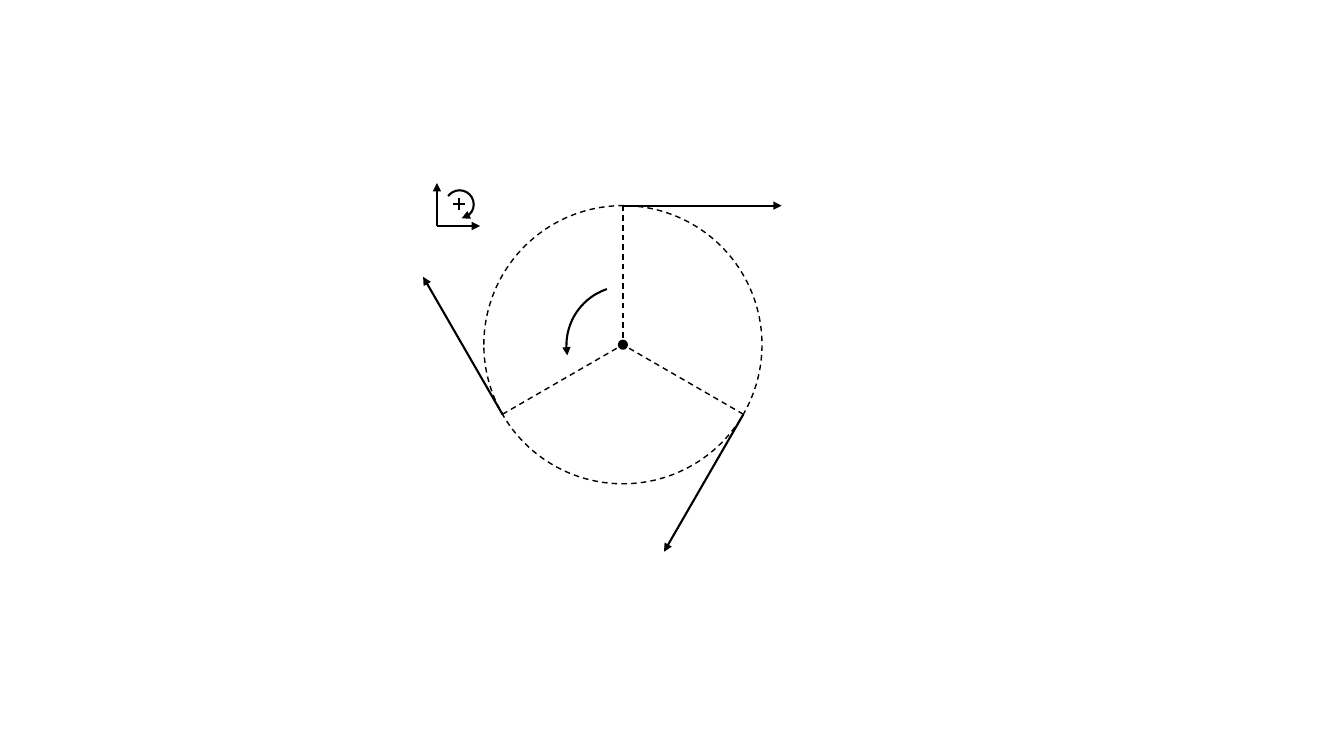
import dataclasses
import math
import typing

import lxml.etree
import pptx
import pptx.dml.line
import pptx.enum.dml
import pptx.enum.shapes
import pptx.oxml.ns
import pptx.util

WIDTH = pptx.util.Inches(13.333)
HEIGHT = pptx.util.Inches(7.5)
CELL = HEIGHT / 100
COLORS = {"ink": "000000"}
DASH = pptx.enum.dml.MSO_LINE.DASH
SOLID = {"width": pptx.util.Pt(1.5)}
DASHED = {"width": pptx.util.Pt(1), "dash_style": DASH}
KINDS = pptx.enum.shapes.MSO_SHAPE


@dataclasses.dataclass(frozen=True)
class Point:
    col: float
    row: float

    def move(self, cols: float, rows: float) -> "Point":
        return Point(self.col + cols, self.row + rows)


@dataclasses.dataclass(frozen=True)
class Stroke:
    start: Point
    end: Point
    style: dict
    arrow: str = ""


@dataclasses.dataclass(frozen=True)
class Round:
    center: Point
    radius: float
    style: dict
    angles: tuple = ()
    arrow: str = ""
    filled: bool = False


HUB = Point(82.4, 45.6)
RIM = 18.4
FORCE = 21
AXES = Point(57.8, 29.9)
REACH = 5.7
PLUS = Point(60.7, 26.95)
ARM = 0.8


def grid(cells: float) -> int:
    return round(cells * CELL)


def ink(line: pptx.dml.line.LineFormat, style: dict) -> None:
    line.fill.solid()
    line.fill.fore_color.rgb = pptx.dml.color.RGBColor.from_string(COLORS["ink"])
    for name, value in style.items():
        setattr(line, name, value)


def point(shape: typing.Any, end: str) -> None:
    if end:
        edge = shape.element.spPr.find(pptx.oxml.ns.qn("a:ln"))
        lxml.etree.SubElement(edge, pptx.oxml.ns.qn(f"a:{end}End"), type="triangle")


def draw_stroke(shapes: typing.Any, item: Stroke) -> None:
    ends = (item.start.col, item.start.row, item.end.col, item.end.row)
    line = shapes.add_connector(
        pptx.enum.shapes.MSO_CONNECTOR.STRAIGHT, *map(grid, ends))
    ink(line.line, item.style)
    point(line, item.arrow)
    lxml.etree.SubElement(line.element.spPr, pptx.oxml.ns.qn("a:effectLst"))


def draw_round(shapes: typing.Any, item: Round) -> None:
    corner = item.center.move(-item.radius, -item.radius)
    size = 2 * item.radius
    kind = KINDS.ARC if item.angles else KINDS.OVAL
    shape = shapes.add_shape(
        kind, *map(grid, (corner.col, corner.row, size, size)))
    for index, angle in enumerate(item.angles):
        shape.adjustments[index] = angle * 0.6
    if item.filled:
        shape.fill.solid()
        shape.fill.fore_color.rgb = pptx.dml.color.RGBColor.from_string(COLORS["ink"])
    else:
        shape.fill.background()
    ink(shape.line, item.style)
    point(shape, item.arrow)
    shape.shadow.inherit = False


def spokes() -> typing.Iterator[Stroke]:
    for turn in range(3):
        angle = math.tau * turn / 3
        sine, cosine = math.sin(angle), math.cos(angle)
        tip = HUB.move(RIM * sine, -RIM * cosine)
        yield Stroke(tip, HUB, DASHED)
        yield Stroke(tip, tip.move(FORCE * cosine, FORCE * sine), SOLID, "tail")


def main() -> None:
    deck = pptx.Presentation()
    deck.slide_width, deck.slide_height = WIDTH, HEIGHT
    slide = deck.slides.add_slide(deck.slide_layouts[6])
    shapes = slide.shapes.add_group_shape().shapes

    rounds = [
        Round(HUB, RIM, DASHED),
        Round(HUB.move(0.4, 0.1), 7.87, SOLID, (170.3, 251.36), "head"),
        Round(HUB, 0.53, SOLID, filled=True),
        Round(PLUS.move(0.1, 0.1), 1.87, SOLID, (215.77, 81.73), "tail"),
    ]
    strokes = [
        *spokes(),
        Stroke(AXES, AXES.move(0, -REACH), SOLID, "tail"),
        Stroke(AXES, AXES.move(REACH, 0), SOLID, "tail"),
        Stroke(PLUS.move(0, -ARM), PLUS.move(0, ARM), SOLID),
        Stroke(PLUS.move(-ARM, 0), PLUS.move(ARM, 0), SOLID),
    ]
    for item in rounds:
        draw_round(shapes, item)
    for item in strokes:
        draw_stroke(shapes, item)
    deck.save("out.pptx")


if __name__ == "__main__":
    main()
